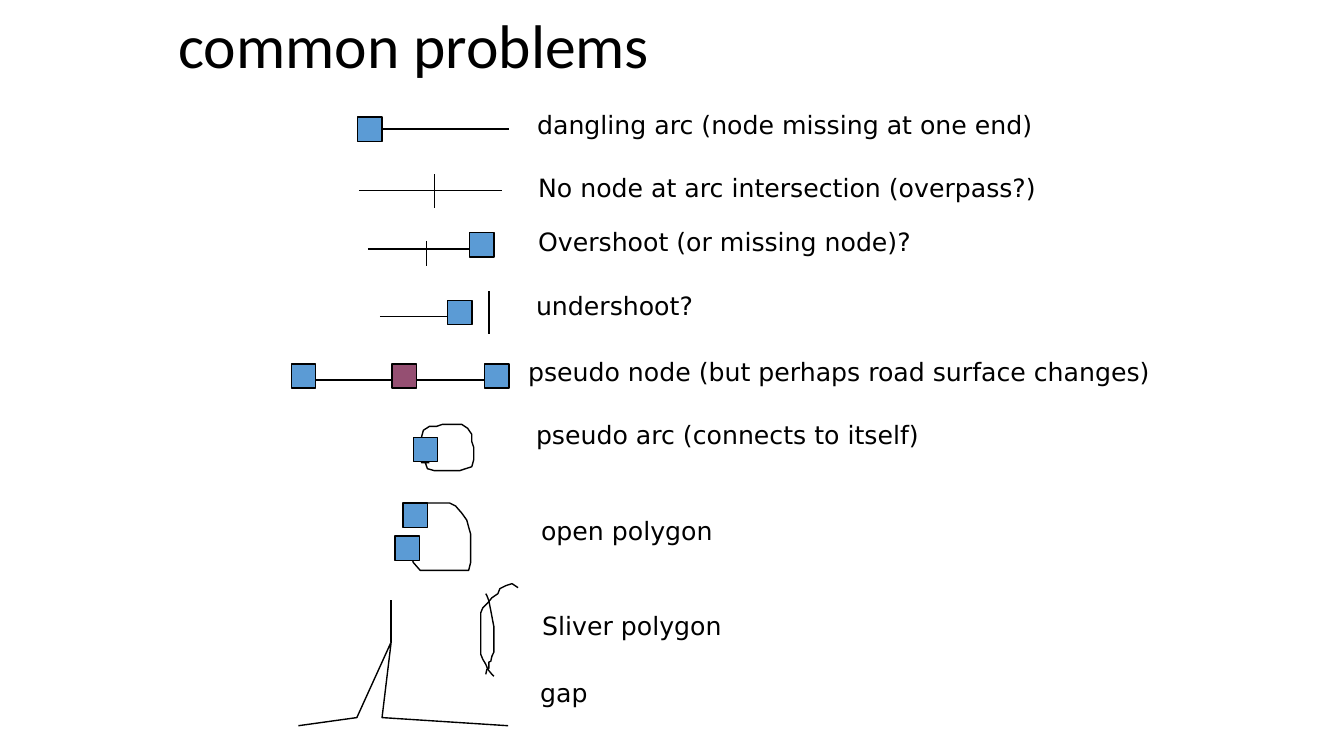
from lxml import etree
from pptx import Presentation
from pptx.dml.color import RGBColor
from pptx.enum.shapes import MSO_CONNECTOR as CONN, MSO_SHAPE as SHAPE
from pptx.enum.text import MSO_ANCHOR as ANCHOR, MSO_AUTO_SIZE as AUTO, PP_ALIGN as ALIGN
from pptx.oxml.ns import qn
from pptx.util import Pt

BLACK, BLUE, PURPLE = "000000", "5B9BD5", "954F72"


def rgb(value):
    return RGBColor.from_string(value)


def apply(target, values):
    """Set each attribute of target named in values."""
    for name, value in values.items():
        setattr(target, name, value)


class Sketch:
    """Draws nodes, arcs and labels on one slide, measured in points."""

    node_size = 17.4
    title_font = {"name": "Calibri", "size": Pt(44), "bold": False}
    label_font = {"name": "DejaVu Sans", "size": Pt(18)}

    def __init__(self, s):
        self.s = s

    def outline(self, shape):
        apply(shape.line, {"width": Pt(1)})
        shape.line.color.rgb = rgb(BLACK)

    def fill_text(self, tf, text, font, spacing, **frame):
        apply(tf, frame)
        p = tf.paragraphs[0]
        apply(p, {"alignment": ALIGN.LEFT, "line_spacing": spacing})
        r = p.add_run()
        r.text = text
        apply(r.font, font)
        r.font.color.rgb = rgb(BLACK)

    def title(self, text, left, top, width, height):
        sp = self.s.shapes.title
        apply(sp, {"left": Pt(left), "top": Pt(top), "width": Pt(width), "height": Pt(height)})
        self.fill_text(sp.text_frame, text, self.title_font, 0.9,
                       vertical_anchor=ANCHOR.MIDDLE, auto_size=AUTO.NONE)

    def label(self, text, left, top, width, height, wrap=False, spacing=0.9):
        sp = self.s.shapes.add_textbox(Pt(left), Pt(top), Pt(width), Pt(height))
        self.fill_text(sp.text_frame, text, self.label_font, spacing,
                       word_wrap=wrap, auto_size=AUTO.SHAPE_TO_FIT_TEXT)

    def node(self, left, top, color=BLUE):
        size = Pt(self.node_size)
        sp = self.s.shapes.add_shape(SHAPE.RECTANGLE, Pt(left), Pt(top), size, size)
        sp.shadow.inherit = False
        sp.fill.solid()
        sp.fill.fore_color.rgb = rgb(color)
        self.outline(sp)
        return sp

    def line(self, x1, y1, x2, y2):
        c = self.s.shapes.add_connector(CONN.STRAIGHT, Pt(x1), Pt(y1), Pt(x2), Pt(y2))
        self.outline(c)
        etree.SubElement(c._element.spPr, qn("a:effectLst"))
        return c

    def arc(self, points):
        """Draw an open outline through the points."""
        start, *rest = [(Pt(x), Pt(y)) for x, y in points]
        builder = self.s.shapes.build_freeform(*start)
        builder.add_line_segments(rest, close=False)
        sp = builder.convert_to_shape()
        sp.shadow.inherit = False
        sp.fill.background()
        self.outline(sp)


LOOP = [(301, 312.5), (302.4, 307.4), (306.7, 304.6), (311.8, 304.6), (316.1, 303.1),
        (329.8, 303.1), (334.1, 306), (337, 310.3), (337, 315.4), (338.4, 319.7),
        (338.4, 328.3), (337, 333.4), (332.6, 334.8), (328.3, 336.2), (310.3, 336.2),
        (305.3, 334.8), (303.8, 330.5), (301, 330.5), (306.7, 330.5)]
SLIVER_RIGHT = [(347, 424.1), (347.8, 425.5), (349.2, 429.1), (350.6, 436.3), (352.1, 444.2),
                (352.8, 447.8), (352.8, 465.8), (351.4, 468.7), (350.6, 472.3), (349.2, 473),
                (349.2, 477.4), (347.8, 478.1), (347, 481.7)]
SLIVER_LEFT = [(370.1, 419.8), (365.8, 416.9), (361.4, 418.3), (357.1, 420.5), (355.7, 424.1),
               (351.4, 427), (348.5, 430.6), (344.9, 434.2), (343.4, 437.8), (343.4, 467.3),
               (344.9, 470.9), (347, 474.5), (348.5, 478.1), (351.4, 481.7), (352.8, 483.1)]
GAP = [(213.1, 518.4), (254.9, 512.6), (279.4, 458.6), (272.9, 512.6), (362.9, 518.4)]
OPEN_POLYGON = [(293.8, 364.3), (297.4, 359.3), (321.1, 359.3), (325.4, 361.4), (329.8, 366.5),
                (333.4, 371.5), (334.8, 376.6), (336.2, 381.6), (336.2, 401.8), (334.8, 407.5),
                (300.2, 407.5), (295.2, 401.8), (293.8, 396.7), (293.8, 386.6)]

LABELS = [
    ("dangling arc (node missing at one end)", 376.6, 77, 388, 26.8, True),
    ("No node at arc intersection (overpass?)", 377.3, 121.7, 421, 26.8, True),
    ("Overshoot (or missing node)?", 377.3, 160.6, 286.6, 26.8),
    ("undershoot?", 375.8, 203.8, 128.2, 29, False, 1.0),
    ("pseudo node (but perhaps road surface changes)", 370.1, 253.4, 469.4, 26.8, True),
    ("pseudo arc (connects to itself)", 375.8, 295.9, 294.5, 29, False, 1.0),
    ("open polygon", 379.4, 367.2, 137.5, 26.8),
    ("Sliver polygon", 380.2, 434.9, 144.7, 26.8),
    ("gap", 378.7, 480.2, 49, 29, False, 1.0),
]


def main():
    prs = Presentation()
    apply(prs, {"slide_width": Pt(960), "slide_height": Pt(540)})
    sketch = Sketch(prs.slides.add_slide(prs.slide_layouts[5]))
    sketch.title("common problems", 120.2, 5, 720, 59.8)

    # Dangling arc
    start = sketch.node(255.6, 83.5)
    sketch.line(273, 92.2, 363.6, 92.2).begin_connect(start, 3)
    # Intersection without a node
    sketch.line(256.3, 136.1, 358.6, 136.1)
    sketch.line(310.3, 124.6, 310.3, 148.3)
    # Overshoot
    sketch.node(335.5, 166.3)
    sketch.line(262.8, 177.8, 334.8, 177.8)
    sketch.line(304.6, 172.1, 304.6, 190.1)
    # Undershoot
    sketch.node(319.7, 214.6)
    sketch.line(349.2, 208.1, 349.2, 238.3)
    sketch.line(271.4, 226.1, 319.7, 226.1)
    # Pseudo arc
    sketch.node(295.2, 312.5)
    sketch.arc(LOOP)
    # Sliver polygon
    sketch.arc(SLIVER_RIGHT)
    sketch.arc(SLIVER_LEFT)
    # Pseudo node
    for left, color in ((280.1, PURPLE), (208.1, BLUE), (346.3, BLUE)):
        sketch.node(left, 259.9, color)
    for x1, x2 in ((225.4, 279.4), (297.4, 345.6)):
        sketch.line(x1, 271.4, x2, 271.4)
    # Gap
    sketch.arc(GAP)
    sketch.line(279.4, 458.6, 279.4, 428.4)
    # Open polygon
    sketch.arc(OPEN_POLYGON)
    sketch.node(288, 359.3)
    sketch.node(282.2, 383)

    for label in LABELS:
        sketch.label(*label)
    prs.save("out.pptx")


if __name__ == "__main__":
    main()
